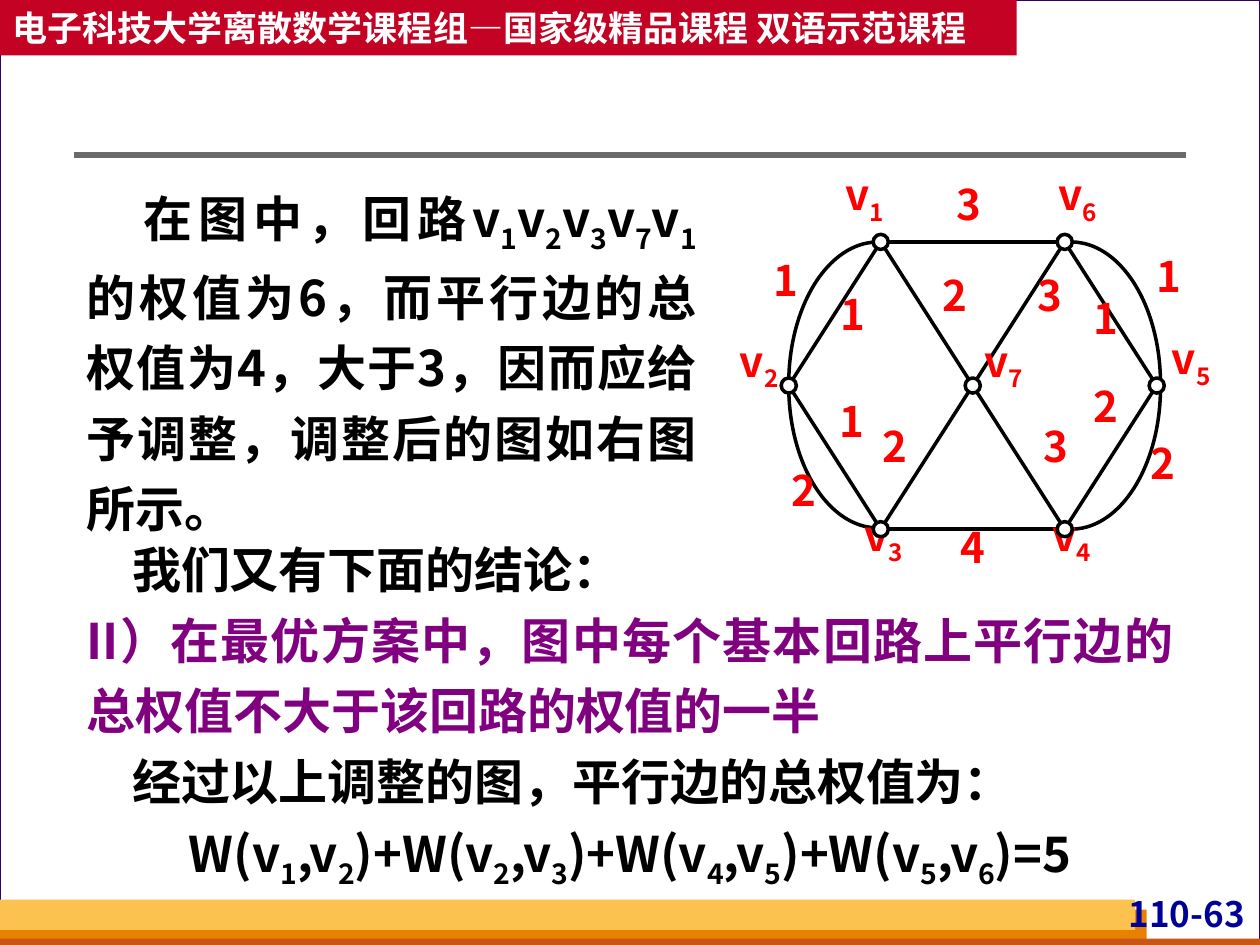
from lxml.etree import SubElement
from pptx import Presentation
from pptx.dml.color import RGBColor
from pptx.enum.shapes import MSO_CONNECTOR as Connector, MSO_SHAPE as Shape
from pptx.enum.text import MSO_ANCHOR as Anchor, MSO_AUTO_SIZE as AutoSize, PP_ALIGN as Align
from pptx.oxml.ns import qn
from pptx.util import Inches, Pt

# Content: "_" lowers the one character that follows it
FONT = "Noto Sans CJK SC"
HEADER = "电子科技大学离散数学课程组—国家级精品课程 双语示范课程"
PAGE_NUMBER = "110-63"
BODY = [("在图中，回路v_1v_2v_3v_7v_1的权值为6，而平行边的总权值为4，大于3，"
         "因而应给予调整，调整后的图如右图所示。", "000000", Align.JUSTIFY, 0.45)]
CONCLUSION = [
    ("我们又有下面的结论：", "000000", Align.JUSTIFY, 0.36),
    ("II）在最优方案中，图中每个基本回路上平行边的总权值不大于该回路的权值的一半",
     "800080", Align.JUSTIFY, 0),
    ("经过以上调整的图，平行边的总权值为：", "000000", Align.JUSTIFY, 0.36),
    ("W(v_1,v_2)+W(v_2,v_3)+W(v_4,v_5)+W(v_5,v_6)=5", "000000", Align.CENTER, 0),
]
BANDS = [  # left, top, width, height, fill, line
    (0, 0, 10, 7.5, "FFFFFF", "330066"),
    (0, 7.22, 9.1, 0.28, "E88000", None),
    (0, 7.45, 10, 0.08, "C95616", None),
    (0, 7.14, 9.01, 0.24, "FCC24F", None),
]

# Graph: each vertex has a grid column and row, and the corner of its label
VERTICES = {
    1: (1, 0, 6.63, 1.34), 2: (0, 1, 5.79, 2.66), 3: (1, 2, 6.78, 4.04),
    4: (3, 2, 8.27, 4.04), 5: (4, 1, 9.22, 2.64), 6: (3, 0, 8.32, 1.34),
    7: (2, 1, 7.73, 2.66),
}
EDGES = [  # start, end, weight, corner of the weight
    (1, 6, 3, 7.57, 1.42), (1, 2, 1, 6.65, 2.29), (1, 7, 2, 7.46, 2.14),
    (6, 7, 3, 8.21, 2.14), (6, 5, 1, 8.66, 2.32), (2, 3, 1, 6.64, 3.14),
    (7, 3, 2, 6.98, 3.34), (7, 4, 3, 8.26, 3.34), (5, 4, 2, 8.66, 3.02),
    (3, 4, 4, 7.6, 4.14),
]
ARCS = [  # left, top, start angle, weight, corner of the weight
    (7.79, 1.92, 270, 1, 9.16, 1.99), (7.79, 1.95, 0, 2, 9.11, 3.47),
    (6.26, 1.94, 90, 2, 6.26, 3.69), (6.26, 1.92, 180, 1, 6.12, 2.02),
]
GRID_LEFT, GRID_TOP, COLUMN, ROW = 6.26, 1.92, 0.73, 1.14
NODE = 0.12
ARC_SIZE = (1.42, 2.25)


def color(value):
    return RGBColor.from_string(value)


def add_shape(shapes, kind, left, top, width, height, fill=None, line=None, weight=2):
    shape = shapes.add_shape(kind, *map(Inches, (left, top, width, height)))
    shape.shadow.inherit = False
    if fill:
        shape.fill.solid()
        shape.fill.fore_color.rgb = color(fill)
    else:
        shape.fill.background()
    if line:
        shape.line.color.rgb = color(line)
        shape.line.width = Pt(weight)
    else:
        shape.line.fill.background()
    return shape


def add_line(shapes, start, end, line, weight):
    connector = shapes.add_connector(Connector.STRAIGHT, *map(Inches, (*start, *end)))
    connector.line.color.rgb = color(line)
    connector.line.width = Pt(weight)
    SubElement(connector._element.spPr, qn("a:effectLst"))


def write(para, text, size, fill, align, indent=0, spacing=1.0):
    properties = para._p.get_or_add_pPr()
    properties.set("marL", "0")
    properties.set("indent", str(Inches(indent)))
    SubElement(properties, qn("a:buNone"))
    para.alignment = align
    para.line_spacing = spacing
    para.space_before = Pt(0)
    font = para.font
    font.name, font.size, font.bold = FONT, Pt(size), True
    font.color.rgb = color(fill)
    SubElement(properties.find(qn("a:defRPr")), qn("a:ea"), typeface=FONT)
    first, *rest = text.split("_")
    pieces = [(first, False)]
    for part in rest:
        pieces += [(part[0], True), (part[1:], False)]
    for piece, lowered in pieces:
        if piece:
            span = para.add_run()
            span.text = piece
            if lowered:
                span._r.get_or_add_rPr().set("baseline", "-25000")


def add_text(shapes, text, left, top, width, height, size, fill, align, inset=0):
    box = shapes.add_textbox(*map(Inches, (left, top, width, height)))
    frame = box.text_frame
    frame.word_wrap = True
    frame.margin_left = frame.margin_right = Inches(inset)
    frame.margin_top = frame.margin_bottom = 0
    write(frame.paragraphs[0], text, size, fill, align)


def fill_body(box, left, top, width, height, paragraphs):
    box.left, box.top, box.width, box.height = map(Inches, (left, top, width, height))
    frame = box.text_frame
    frame.word_wrap = True
    frame.auto_size = AutoSize.NONE
    for index, (text, fill, align, indent) in enumerate(paragraphs):
        para = frame.add_paragraph() if index else frame.paragraphs[0]
        write(para, text, 28, fill, align, indent, 1.2)


def center(vertex):
    column, row = VERTICES[vertex][:2]
    return GRID_LEFT + column * COLUMN, GRID_TOP + row * ROW


def draw_graph(shapes):
    def add_label(text, left, top, width=0.24, height=0.4):
        add_text(shapes, text, left, top, width, height, 24, "FF0000", Align.CENTER)

    for start, end, *label in EDGES:
        add_line(shapes, center(start), center(end), "000000", 2)
        add_label(str(label[0]), *label[1:])
    for left, top, angle, weight, *corner in ARCS:
        arc = add_shape(shapes, Shape.ARC, left, top, *ARC_SIZE, line="000000")
        # One degree is 60000 units, and adjustments count in 100000
        arc.adjustments[0] = angle * 0.6
        arc.adjustments[1] = (angle + 90) % 360 * 0.6
        add_label(str(weight), *corner)
    for vertex, (_, _, *corner) in VERTICES.items():
        add_label(f"v_{vertex}", *corner, 0.47, 0.46)
    for vertex in VERTICES:
        x, y = center(vertex)
        add_shape(shapes, Shape.OVAL, x - NODE / 2, y - NODE / 2, NODE, NODE,
                  "FFFFFF", "000000")


def main():
    deck = Presentation()
    deck.slide_width, deck.slide_height = Inches(10), Inches(7.5)
    page = deck.slides.add_slide(deck.slide_layouts[1])
    title, body = page.placeholders
    title._element.getparent().remove(title._element)
    shapes = page.shapes

    # Frame, footer bands and page number
    for *place, fill, line in BANDS:
        add_shape(shapes, Shape.RECTANGLE, *place, fill, line, 0.75)
    add_text(shapes, PAGE_NUMBER, 8.7, 7.08, 1.22, 0.38, 20, "000099", Align.RIGHT, 0.04)

    # Header band and rule
    add_line(shapes, (0.59, 1.23), (9.41, 1.23), "6B6B6B", 3)
    header = add_shape(shapes, Shape.RECTANGLE, 0, 0, 8.07, 0.44, "C30224")
    header.text_frame.vertical_anchor = Anchor.MIDDLE
    write(header.text_frame.paragraphs[0], HEADER, 20, "FFFFFF", Align.LEFT)

    # Body text, brought in front of the frame
    shapes._spTree.append(body._element)
    fill_body(body, 0.59, 1.34, 5.04, 2.98, BODY)
    fill_body(shapes.add_textbox(0, 0, 0, 0), 0.59, 4.14, 8.82, 2.98, CONCLUSION)

    # Weighted graph
    draw_graph(shapes.add_group_shape().shapes)
    deck.save("out.pptx")


if __name__ == "__main__":
    main()
